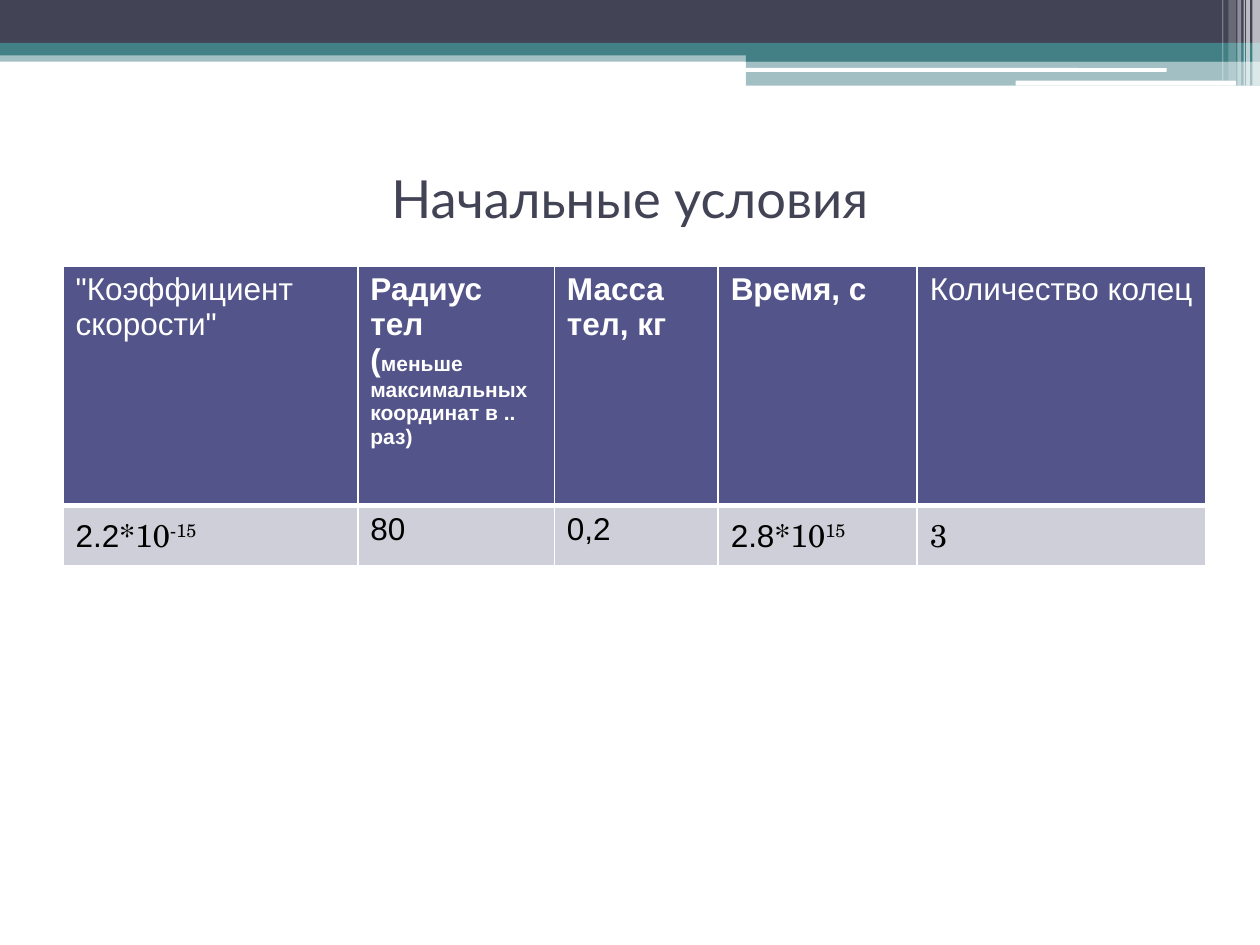
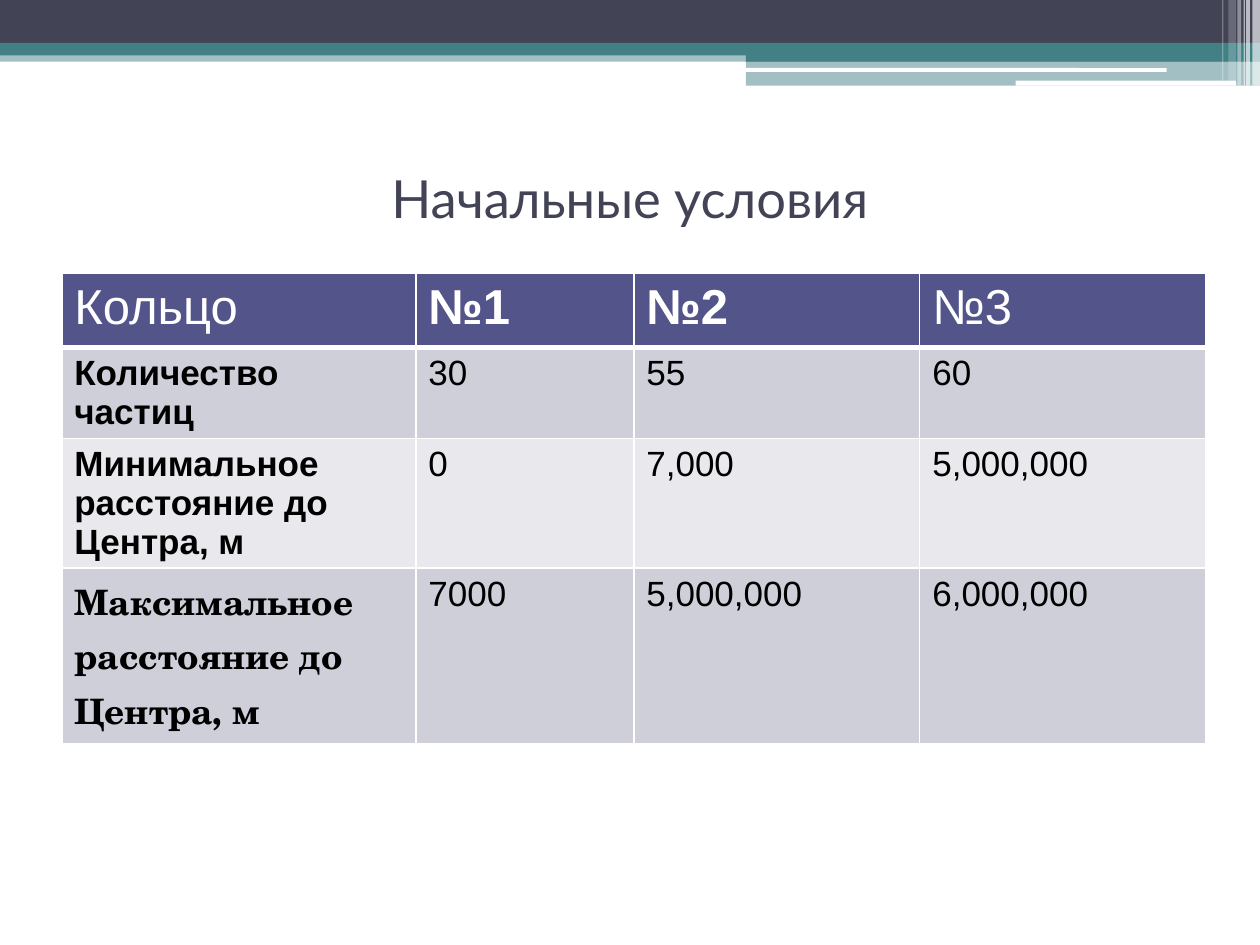
"""Build two slides with the initial conditions of a ring simulation."""
from dataclasses import dataclass

from lxml.etree import SubElement
from pptx import Presentation
from pptx.dml.color import RGBColor
from pptx.enum.shapes import MSO_SHAPE
from pptx.enum.text import MSO_ANCHOR, PP_ALIGN
from pptx.oxml.ns import qn
from pptx.util import Inches, Pt

WHITE = RGBColor(0xFF, 0xFF, 0xFF)
BLACK = RGBColor(0x00, 0x00, 0x00)
DARK = RGBColor(0x42, 0x44, 0x56)
TEAL = RGBColor(0x43, 0x80, 0x86)
HEADER = RGBColor(0x53, 0x54, 0x8A)
BODY_FILLS = (RGBColor(0xCF, 0xCF, 0xD9), RGBColor(0xE9, 0xE9, 0xED))

TITLE_FONT, SANS, SERIF = "Lato", "Arial", "TeX Gyre Schola"
TITLE = "Начальные условия"

BANDS = [
    (0, 0.4, 10, 0.09, TEAL, 49),
    (0, 0, 10, 0.34, DARK, 100),
    (0, 0.34, 10, 0.1, TEAL, 100),
    (5.92, 0.39, 4.08, 0.1, TEAL, 100),
    (5.92, 0.48, 4.08, 0.2, TEAL, 49),
]
WHITE_BARS = [(5.91, 0.54, 3.35, 0.03), (8.06, 0.64, 1.75, 0.04)]
STRIPES = [
    (9.94, 0.06, 0.68, 64),
    (9.89, 0.03, 0.68, 64),
    (9.87, 0.01, 0.68, 60),
    (9.82, 0.03, 0.68, 40),
    (9.75, 0.06, 0.64, 20),
    (9.7, 0.01, 0.64, 29),
]


@dataclass
class Span:
    """A piece of text with its own format."""
    text: str
    size: int = 18
    bold: bool = False
    font: str = SANS
    raised: bool = False


def add_band(slide, left, top, width, height, color, opacity=100,
             kind=MSO_SHAPE.RECTANGLE):
    """Draw a plain filled band and return it."""
    band = slide.shapes.add_shape(
        kind, Inches(left), Inches(top), Inches(width), Inches(height))
    band.shadow.inherit = False
    band.line.fill.background()
    band.fill.solid()
    band.fill.fore_color.rgb = color
    if opacity < 100:
        fill_color = band.element.xpath("./p:spPr/a:solidFill/a:srgbClr")[0]
        SubElement(fill_color, qn("a:alpha"), val=str(opacity * 1000))
    return band


def add_header(slide, layout):
    """Draw the header bands and move them to the shared layout."""
    bands = [add_band(slide, *band) for band in BANDS]
    bands += [add_band(slide, *bar, WHITE, kind=MSO_SHAPE.ROUNDED_RECTANGLE)
              for bar in WHITE_BARS]
    bands += [add_band(slide, left, 0, width, height, WHITE, opacity)
              for left, width, height, opacity in STRIPES]
    for position, band in enumerate(bands, start=2):
        layout.shapes.element.insert(position, band.element)


def add_span(para, span, color):
    """Add one formatted run to a paragraph."""
    run = para.add_run()
    run.text = span.text
    run.font.name = span.font
    run.font.size = Pt(span.size)
    run.font.bold = span.bold
    run.font.color.rgb = color
    if span.raised:
        run._r.get_or_add_rPr().set("baseline", "30000")


def set_title(slide):
    """Place and fill the title placeholder."""
    box = slide.shapes.title
    box.left, box.top = Inches(0.5), Inches(0.98)
    box.width, box.height = Inches(9), Inches(1.17)
    frame = box.text_frame
    frame.word_wrap = True
    frame.vertical_anchor = MSO_ANCHOR.MIDDLE
    para = frame.paragraphs[0]
    para.alignment = PP_ALIGN.CENTER
    add_span(para, Span(TITLE, 30, font=TITLE_FONT), DARK)


def set_borders(cell, top, bottom):
    """Give a cell white borders, with the top and bottom widths in points."""
    properties = cell._tc.get_or_add_tcPr()
    widths = {"a:lnL": 1, "a:lnR": 1, "a:lnT": top, "a:lnB": bottom}
    for position, (tag, width) in enumerate(widths.items()):
        line = SubElement(properties, qn(tag), w=str(Pt(width)))
        fill = SubElement(line, qn("a:solidFill"))
        SubElement(fill, qn("a:srgbClr"), val=str(WHITE))
        properties.insert(position, line)


def fill_cell(cell, paragraphs, row):
    """Write the paragraphs of a cell and colour it by its row."""
    cell.fill.solid()
    cell.fill.fore_color.rgb = HEADER if row == 0 else BODY_FILLS[(row - 1) % 2]
    set_borders(cell, 3 if row == 1 else 1, 3 if row == 0 else 1)
    frame = cell.text_frame
    for number, spans in enumerate(paragraphs):
        para = frame.add_paragraph() if number else frame.paragraphs[0]
        for span in spans:
            add_span(para, span, WHITE if row == 0 else BLACK)


def add_grid(slide, left, top, widths, heights, rows):
    """Add a table whose cells are lists of paragraphs of spans."""
    table = slide.shapes.add_table(
        len(heights), len(widths), Inches(left), Inches(top),
        Inches(sum(widths)), Inches(sum(heights))).table
    for column, width in zip(table.columns, widths):
        column.width = Inches(width)
    for table_row, height in zip(table.rows, heights):
        table_row.height = Inches(height)
    for row, cells in enumerate(rows):
        for column, paragraphs in enumerate(cells):
            fill_cell(table.cell(row, column), paragraphs, row)


def plain(text, size=18, bold=False, font=SANS):
    """Return cell content with one span for each line of text."""
    return [[Span(line, size, bold, font)] for line in text.split("\n")]


def power(factor, exponent):
    """Return cell content for a number times a power of ten."""
    return [[Span(factor), Span("*10", font=SERIF),
             Span(exponent, font=SERIF, raised=True)]]


def ring_row(label, values, font=SANS):
    """Return a row with a bold label and its values."""
    return [plain(label, 20, True, font)] + [plain(value, 20) for value in values]


def add_conditions(slide):
    """Add the table of common conditions."""
    radius = [
        [Span("Радиус тел", bold=True)],
        [Span("(", bold=True),
         Span("меньше максимальных координат в .. раз)", 12, True)],
    ]
    add_grid(slide, 0.5, 2.11, [2.34, 1.56, 1.3, 1.58, 2.29], [1.9, 0.48], [
        [plain('"Коэффициент скорости"'), radius,
         plain("Масса тел, кг", bold=True), plain("Время, с", bold=True),
         plain("Количество колец")],
        [power("2.2", "-15"), plain("80"), plain("0,2"),
         power("2.8", "15"), plain("3", font=SERIF)],
    ])


def add_rings(slide):
    """Add the table of ring parameters."""
    add_grid(slide, 0.49, 2.17, [2.81, 1.73, 2.27, 2.27],
             [0.59, 0.47, 0.79, 0.89], [
        [plain("Кольцо", 28), plain("№1", 28, True),
         plain("№2", 28, True), plain("№3", 28)],
        ring_row("Количество частиц", ["30", "55", "60"]),
        ring_row("Минимальное расстояние до\nЦентра, м",
                 ["0", "7,000", "5,000,000"]),
        ring_row("Максимальное расстояние до\nЦентра, м",
                 ["7000", "5,000,000", "6,000,000"], SERIF),
    ])


def main():
    """Build and save the deck."""
    deck = Presentation()
    deck.slide_width, deck.slide_height = Inches(10), Inches(7.5)
    layout = deck.slide_layouts[5]
    pages = [deck.slides.add_slide(layout) for _ in range(2)]
    add_header(pages[0], layout)
    for page, add_content in zip(pages, (add_conditions, add_rings)):
        set_title(page)
        add_content(page)
    deck.save("out.pptx")


if __name__ == "__main__":
    main()
